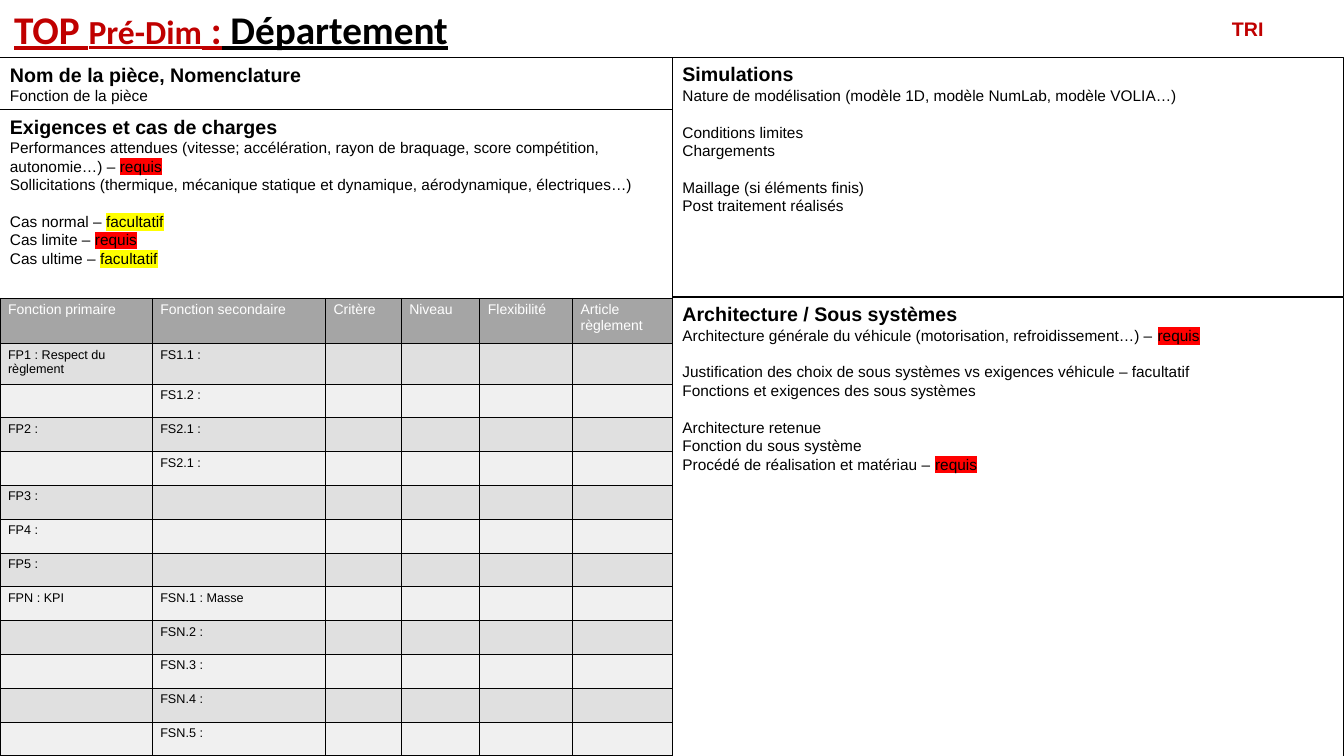
from lxml.etree import SubElement
from pptx import Presentation
from pptx.dml.color import RGBColor
from pptx.enum.shapes import MSO_SHAPE
from pptx.enum.text import MSO_ANCHOR, MSO_AUTO_SIZE, PP_ALIGN
from pptx.oxml import parse_xml
from pptx.oxml.ns import nsdecls, qn
from pptx.util import Inches, Pt

BLACK = RGBColor(0x00, 0x00, 0x00)
WHITE = RGBColor(0xFF, 0xFF, 0xFF)
CRIMSON = RGBColor(0xC0, 0x00, 0x00)
RED = RGBColor(0xFF, 0x00, 0x00)
YELLOW = RGBColor(0xFF, 0xFF, 0x00)
HEAD = RGBColor(0xA5, 0xA5, 0xA5)
BANDS = [RGBColor(0xE0, 0xE0, 0xE0), RGBColor(0xF0, 0xF0, 0xF0)]

TITLE = {"name": "Calibri", "size": Pt(28), "bold": True, "underline": True}
HEADING = {"name": "Arial", "size": Pt(14), "bold": True}
BODY = {"name": "Arial", "size": Pt(11), "bold": False}
HEADER = {"name": "Arial", "size": Pt(10), "bold": False}
CELL = {"name": "Arial", "size": Pt(9), "bold": False}

MARKS = {"requis": RED, "facultatif": YELLOW}
LINE_GAP = Pt(13)
HALF = 6.67

# Each panel: place, heading, groups of lines; a line is its text and its mark.
PANELS = [
    ((0, 0.57, HALF, 0.52), "Nom de la pièce, Nomenclature",
     [[("Fonction de la pièce", "")]]),
    ((0, 1.09, HALF, 1.87), "Exigences et cas de charges", [
        [("Performances attendues (vitesse; accélération, rayon de braquage, "
          "score compétition, autonomie…) – ", "requis"),
         ("Sollicitations (thermique, mécanique statique et dynamique, "
          "aérodynamique, électriques…)", "")],
        [("Cas normal – ", "facultatif"),
         ("Cas limite – ", "requis"),
         ("Cas ultime – ", "facultatif")]]),
    ((HALF, 0.57, 6.66, 2.37), "Simulations", [
        [("Nature de modélisation (modèle 1D, modèle NumLab, modèle VOLIA…)", "")],
        [("Conditions limites", ""), ("Chargements", "")],
        [("Maillage (si éléments finis)", ""), ("Post traitement réalisés", "")]]),
    ((HALF, 2.95, 6.66, 4.59), "Architecture / Sous systèmes", [
        [("Architecture générale du véhicule (motorisation, refroidissement…) – ",
          "requis")],
        [("Justification des choix de sous systèmes vs exigences véhicule – "
          "facultatif", ""),
         ("Fonctions et exigences des sous systèmes", "")],
        [("Architecture retenue", ""),
         ("Fonction du sous système", ""),
         ("Procédé de réalisation et matériau – ", "requis")]]),
]

COLS = [1.51, 1.72, 0.75, 0.78, 0.92, 0.99]
TOP, HIGH = 2.96, 4.54
TALL = [0.45, 0.4]
NEEDS = [
    ["Fonction primaire", "Fonction secondaire", "Critère", "Niveau",
     "Flexibilité", "Article règlement"],
    ["FP1 : Respect du règlement", "FS1.1 :"],
    ["", "FS1.2 :"],
    ["FP2 :", "FS2.1 :"],
    ["", "FS2.1 :"],
    ["FP3 :"],
    ["FP4 :"],
    ["FP5 :"],
    ["FPN : KPI", "FSN.1 : Masse"],
    *(["", f"FSN.{num} :"] for num in range(2, 6)),
]


def place(item, box):
    names = ("left", "top", "width", "height")
    for name, value in zip(names, box):
        setattr(item, name, Inches(value))


def add_run(para, text, style, color=BLACK, mark=None):
    run = para.add_run()
    run.text = text
    for name, value in style.items():
        setattr(run.font, name, value)
    run.font.color.rgb = color
    if mark is not None:
        fill = run.font._element.find(qn("a:solidFill"))
        fill.addnext(parse_xml(
            f'<a:highlight {nsdecls("a")}><a:srgbClr val="{mark}"/></a:highlight>'))


def add_title(slide):
    title = slide.shapes.title
    place(title, (0, 0, 4.58, 0.57))
    frame = title.text_frame
    frame.word_wrap = False
    frame.auto_size = MSO_AUTO_SIZE.NONE
    frame.vertical_anchor = MSO_ANCHOR.TOP
    para = frame.paragraphs[0]
    para.alignment = PP_ALIGN.CENTER
    add_run(para, "TOP ", TITLE, CRIMSON)
    add_run(para, "Pré-Dim", {**TITLE, "size": Pt(24)}, CRIMSON)
    add_run(para, " :", TITLE, CRIMSON)
    add_run(para, " Département", TITLE)


def add_tag(slide):
    """Add the initials at the top right."""
    box = slide.shapes.add_textbox(*map(Inches, (12.12, 0.12, 0.52, 0.34)))
    box.text_frame.word_wrap = False
    add_run(box.text_frame.paragraphs[0], "TRI", HEADING, CRIMSON)


def add_panel(slide, box, heading, groups):
    panel = slide.shapes.add_shape(MSO_SHAPE.RECTANGLE, *map(Inches, box))
    panel.shadow.inherit = False
    panel.fill.background()
    panel.line.color.rgb = BLACK
    panel.line.width = Pt(0.75)
    frame = panel.text_frame
    frame.word_wrap = True
    frame.vertical_anchor = MSO_ANCHOR.TOP
    first = frame.paragraphs[0]
    first.alignment = PP_ALIGN.LEFT
    add_run(first, heading, HEADING)
    for rank, group in enumerate(groups):
        for pos, (text, mark) in enumerate(group):
            para = frame.add_paragraph()
            para.alignment = PP_ALIGN.LEFT
            if rank and not pos:
                para.space_before = LINE_GAP
            add_run(para, text, BODY)
            if mark:
                add_run(para, mark, BODY, mark=MARKS[mark])


def add_edges(cell):
    """Draw a thin black line on the four sides of a cell."""
    props = cell._tc.get_or_add_tcPr()
    for side in "LRTB":
        props.append(parse_xml(
            f'<a:ln{side} {nsdecls("a")} w="{Pt(0.8)}"><a:solidFill>'
            f'<a:srgbClr val="{BLACK}"/></a:solidFill></a:ln{side}>'))


def fill_cell(cell, text, style, color, back):
    cell.margin_left = cell.margin_right = Inches(0.08)
    cell.margin_top = cell.margin_bottom = Inches(0.04)
    add_edges(cell)
    cell.fill.solid()
    cell.fill.fore_color.rgb = back
    para = cell.text_frame.paragraphs[0]
    if text:
        add_run(para, text, style, color)
    else:
        size = str(int(style["size"].pt * 100))
        SubElement(para._p, qn("a:endParaRPr"), sz=size)


def add_needs(slide):
    """Add the table of functions."""
    place_in = map(Inches, (0, TOP, sum(COLS), HIGH))
    table = slide.shapes.add_table(len(NEEDS), len(COLS), *place_in).table
    table.first_row = table.horz_banding = False
    for col, width in zip(table.columns, COLS):
        col.width = Inches(width)
    rest = (HIGH - sum(TALL)) / (len(NEEDS) - len(TALL))
    for num, texts in enumerate(NEEDS):
        table.rows[num].height = Inches(TALL[num] if num < len(TALL) else rest)
        look = (CELL, BLACK, BANDS[(num - 1) % 2]) if num else (HEADER, WHITE, HEAD)
        for pos in range(len(COLS)):
            text = texts[pos] if pos < len(texts) else ""
            fill_cell(table.cell(num, pos), text, *look)


def main():
    deck = Presentation()
    deck.slide_width, deck.slide_height = Inches(13.33), Inches(7.5)
    slide = deck.slides.add_slide(deck.slide_layouts[5])
    add_needs(slide)
    add_title(slide)
    for panel in PANELS:
        add_panel(slide, *panel)
    add_tag(slide)
    deck.save("out.pptx")


if __name__ == "__main__":
    main()
